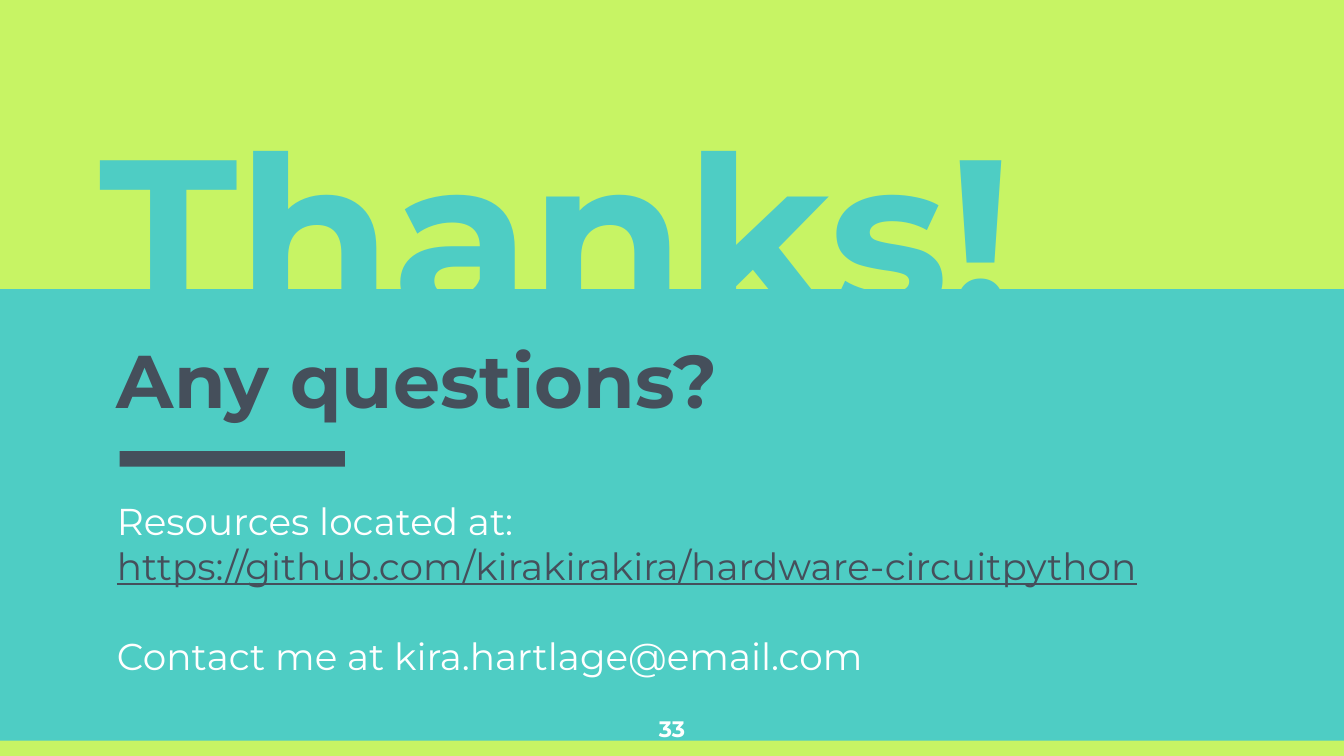
"""Build the closing slide with thanks, resources and contact details."""
from dataclasses import dataclass

import pptx
import pptx.dml.color
import pptx.enum.shapes
import pptx.enum.text
import pptx.util
from pptx.util import Cm

COLORS = {"lime": "C7F464", "teal": "4ECDC4", "slate": "454F5B", "white": "FFFFFF"}
FONT = "Montserrat"
WIDTH, HEIGHT = 25.4, 14.29


@dataclass
class Box:
    left: float
    top: float
    width: float
    height: float


@dataclass
class Bar:
    box: Box
    color: str


@dataclass
class Style:
    size: float
    color: str
    bold: bool = False
    align: pptx.enum.text.PP_ALIGN = pptx.enum.text.PP_ALIGN.LEFT
    anchor: pptx.enum.text.MSO_ANCHOR = pptx.enum.text.MSO_ANCHOR.TOP


@dataclass
class Label:
    box: Box
    lines: list[str]
    style: Style


BARS = [
    Bar(Box(0, 14, WIDTH, HEIGHT - 14), "lime"),
    Bar(Box(0, 0, WIDTH, 5.46), "lime"),
    Bar(Box(2.26, 8.53, 4.26, 0.29), "slate"),
]
TITLE = Label(Box(1.63, 3.86, 18.75, 3.23), ["Thanks!"],
              Style(120, "teal", True, anchor=pptx.enum.text.MSO_ANCHOR.BOTTOM))
QUESTIONS = Label(Box(1.96, 6.07, 13.97, 1.75), ["Any questions?"], Style(40, "slate", True))
DETAILS = Label(Box(1.96, 9.17, 20.24, 3.94),
                ["Resources located at: ", "Contact me at kira.hartlage@email.com"],
                Style(20, "white"))
NUMBER = Label(Box(11.94, 13.26, 1.52, 0.86), ["33"],
               Style(12, "white", True, pptx.enum.text.PP_ALIGN.CENTER))
URL = "https://github.com/kirakirakira/hardware-circuitpython"


def rgb(name: str) -> pptx.dml.color.RGBColor:
    return pptx.dml.color.RGBColor.from_string(COLORS[name])


def lengths(box: Box) -> list[pptx.util.Length]:
    return [Cm(v) for v in (box.left, box.top, box.width, box.height)]


def add_bar(s: pptx.slide.Slide, bar: Bar) -> None:
    sp = s.shapes.add_shape(pptx.enum.shapes.MSO_SHAPE.RECTANGLE, *lengths(bar.box))
    sp.shadow.inherit = False
    sp.fill.solid()
    sp.fill.fore_color.rgb = rgb(bar.color)
    sp.line.fill.background()


def write_text(tf: pptx.text.text.TextFrame, label: Label) -> None:
    style = label.style
    tf.word_wrap = True
    tf.auto_size = pptx.enum.text.MSO_AUTO_SIZE.NONE
    tf.vertical_anchor = style.anchor
    tf.margin_left = tf.margin_right = tf.margin_top = tf.margin_bottom = Cm(0.25)
    tf.text = "\n".join(label.lines)
    for p in tf.paragraphs:
        p.alignment = style.align
        p.font.name = FONT
        p.font.size = pptx.util.Pt(style.size)
        p.font.bold = style.bold
        p.font.color.rgb = rgb(style.color)


def add_label(s: pptx.slide.Slide, label: Label) -> pptx.text.text.TextFrame:
    tf = s.shapes.add_textbox(*lengths(label.box)).text_frame
    write_text(tf, label)
    return tf


def place_title(s: pptx.slide.Slide, label: Label) -> None:
    sp = s.shapes.title
    sp.left, sp.top, sp.width, sp.height = lengths(label.box)
    write_text(sp.text_frame, label)
    s.shapes.element.append(sp.element)


def main() -> None:
    prs = pptx.Presentation()
    prs.slide_width, prs.slide_height = Cm(WIDTH), Cm(HEIGHT)
    s = prs.slides.add_slide(prs.slide_layouts[5])
    s.background.fill.solid()
    s.background.fill.fore_color.rgb = rgb("teal")

    for bar in BARS:
        add_bar(s, bar)
    place_title(s, TITLE)
    add_label(s, QUESTIONS)

    resources, contact = add_label(s, DETAILS).paragraphs
    r = resources.add_run()
    r.text = URL
    r.font.underline = True
    r.font.color.rgb = rgb("slate")
    contact.space_before = pptx.util.Pt(24.4)

    add_label(s, NUMBER)
    prs.save("out.pptx")


if __name__ == "__main__":
    main()
